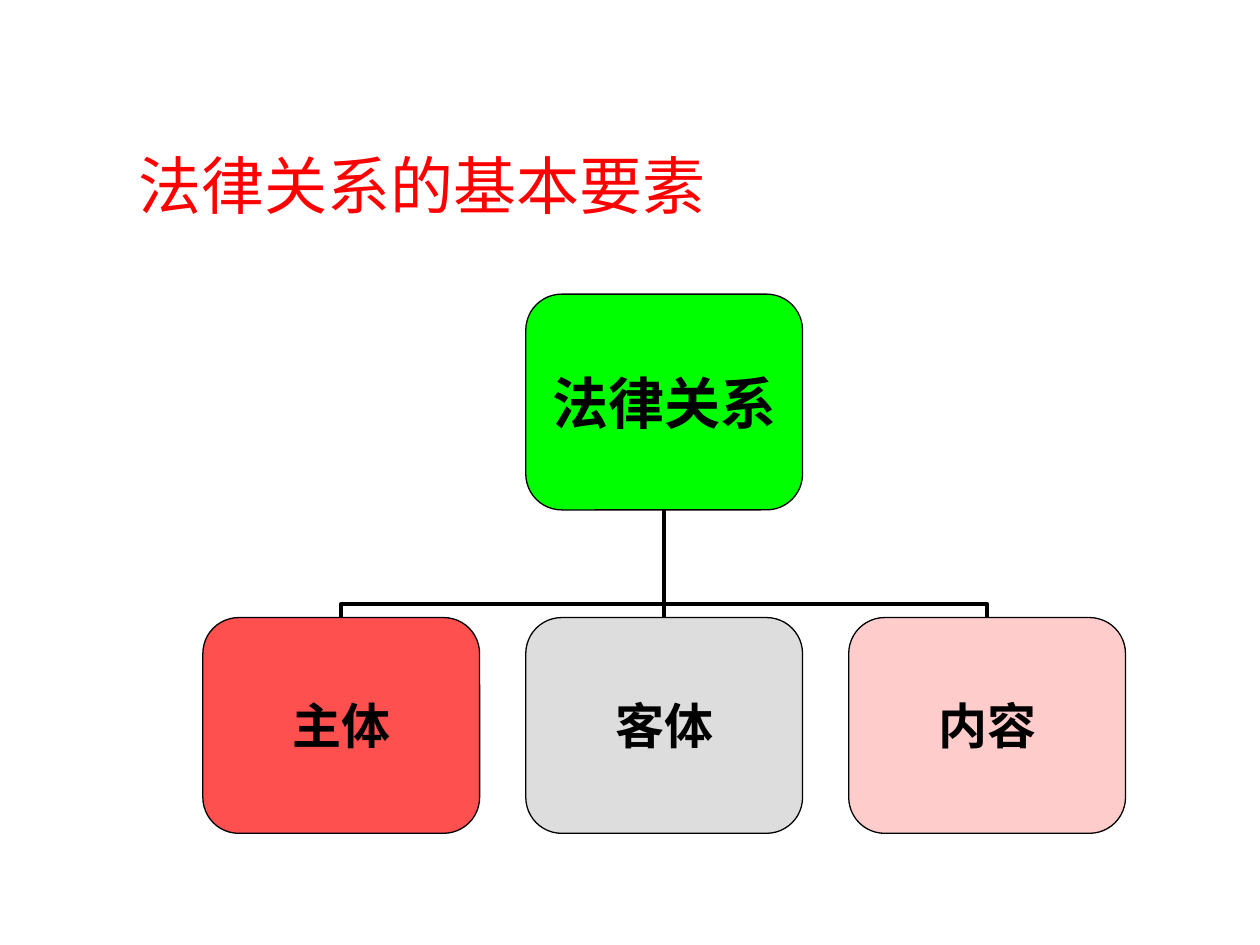
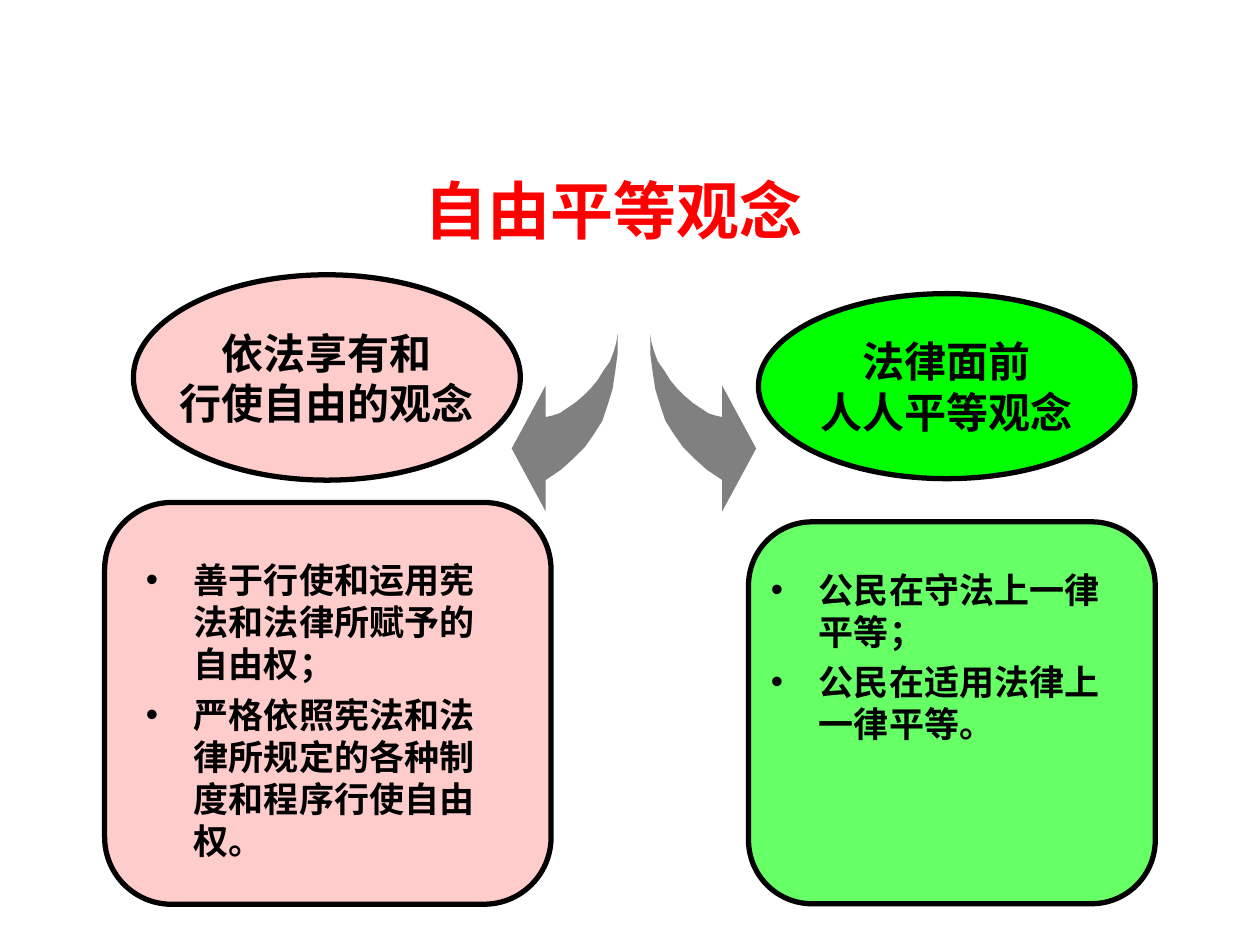
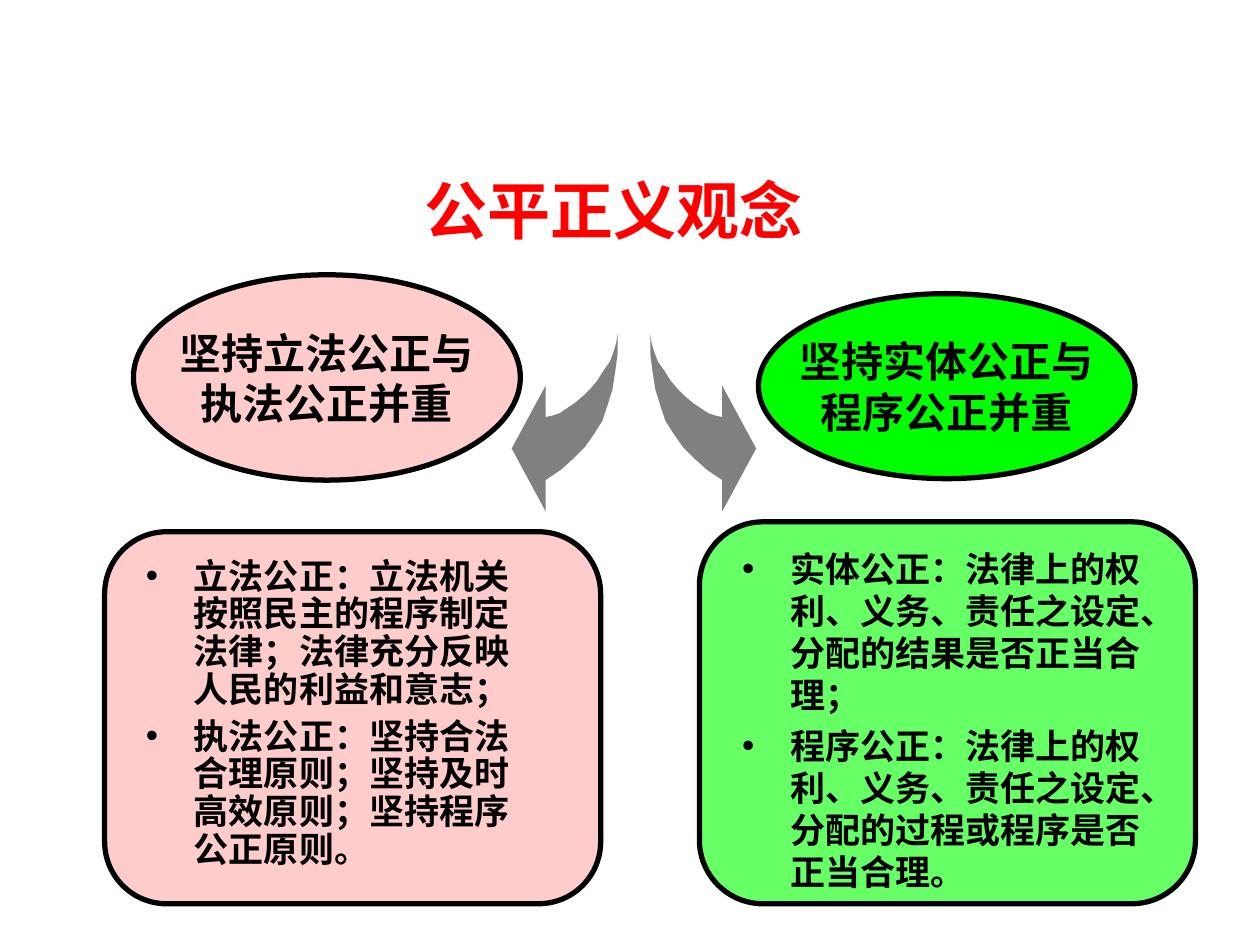
from pptx import Presentation
from pptx.dml.color import RGBColor
from pptx.enum.shapes import MSO_CONNECTOR, MSO_SHAPE
from pptx.enum.text import MSO_ANCHOR, MSO_AUTO_SIZE, PP_ALIGN
from pptx.oxml.ns import qn
from pptx.util import Cm, Pt
from lxml import etree

ROUNDED, ELLIPSE = MSO_SHAPE.ROUNDED_RECTANGLE, MSO_SHAPE.OVAL
STRAIGHT, ELBOW = MSO_CONNECTOR.STRAIGHT, MSO_CONNECTOR.ELBOW
TOP, MIDDLE = MSO_ANCHOR.TOP, MSO_ANCHOR.MIDDLE
LEFT, CENTER = PP_ALIGN.LEFT, PP_ALIGN.CENTER
NO_AUTOFIT = MSO_AUTO_SIZE.NONE
TITLE_ONLY = 5

# Shared style
BLACK, RED, GRAY = "000000", "FF0000", "808080"
GREEN, LIGHT_GREEN, PINK = "00FF00", "66FF66", "FFCCCC"
CORAL, SILVER = "FF5050", "DDDDDD"
SANS, SERIF, CHINESE = "Arial", "Times New Roman", "Noto Sans CJK SC"
LINE_PITCH = 1.2

# Curved arrow outline: (outward, down) from its tip, in units of ARROW_UNIT
ARROW_UNIT = Cm(0.0254)
ARROW = [(0, 0), (0, 16), (2, 31), (4, 44), (8, 57), (12, 69), (19, 80),
         (26, 90), (35, 99), (45, 108), (57, 116), (57, 141), (84, 91),
         (57, 41), (57, 66), (52, 65), (46, 63), (40, 59), (34, 55),
         (27, 49), (21, 43), (16, 37), (11, 29), (6, 22), (3, 14), (1, 7)]


def color(hex_string):
    return RGBColor.from_string(hex_string)


def lengths(place):
    return [Cm(value) for value in place]


class Pages:
    """Holds the deck and the page being drawn."""

    def __init__(self):
        self.deck = Presentation()
        self.deck.slide_width, self.deck.slide_height = Cm(25.4), Cm(19.05)
        self.page = None

    def new_page(self, title, place, font=SANS, bold=False, align=LEFT, anchor=TOP):
        self.page = self.deck.slides.add_slide(self.deck.slide_layouts[TITLE_ONLY])
        box = self.page.shapes.title
        box.left, box.top, box.width, box.height = lengths(place)
        self.set_text(box.text_frame, [title], 36, RED, font, bold, align, anchor)

    def set_text(self, frame, lines, size, ink=BLACK, font=SANS, bold=True,
                 align=CENTER, anchor=MIDDLE, pitch=LINE_PITCH, bullets=False):
        frame.auto_size = NO_AUTOFIT
        frame.vertical_anchor = anchor
        for index, line in enumerate(lines):
            para = frame.add_paragraph() if index else frame.paragraphs[0]
            para.text = line
            para.alignment = align
            para.line_spacing = Pt(size * pitch)
            para.space_before = Pt(5 if bullets and index else 0)
            if bullets:
                self.add_bullet(para)
            para.font.size, para.font.bold = Pt(size), bold
            para.font.name = font
            para.font.color.rgb = color(ink)

    def add_bullet(self, para):
        properties = para._p.get_or_add_pPr()
        properties.set("marL", str(Cm(0.97)))
        properties.set("indent", str(-Cm(0.97)))
        etree.SubElement(properties, qn("a:buFont")).set("typeface", SANS)
        etree.SubElement(properties, qn("a:buChar")).set("char", "•")

    def shape(self, kind, place, fill, line_width):
        shape = self.page.shapes.add_shape(kind, *lengths(place))
        shape.shadow.inherit = False
        shape.fill.solid()
        shape.fill.fore_color.rgb = color(fill)
        shape.line.color.rgb = color(BLACK)
        shape.line.width = Pt(line_width)
        return shape

    def node(self, text, place, fill, size):
        frame = self.shape(ROUNDED, place, fill, 0.75).text_frame
        frame.margin_left = frame.margin_right = 0
        frame.margin_top = frame.margin_bottom = 0
        frame.word_wrap = False
        self.set_text(frame, [text], size, font=SERIF)

    def heading(self, lines, place, fill):
        frame = self.shape(ELLIPSE, place, fill, 3).text_frame
        frame.word_wrap = False
        self.set_text(frame, lines, 24)

    def bullet_list(self, lines, place, pitch):
        frame = self.page.shapes.add_textbox(*lengths(place)).text_frame
        frame.word_wrap = True
        self.set_text(frame, lines, 20, align=LEFT, anchor=TOP, pitch=pitch, bullets=True)

    def link(self, child, parent):
        """Joins a child's top to its parent's bottom, turning near the child."""
        (child_x, child_y), (parent_x, parent_y) = child, parent
        run, rise = abs(parent_x - child_x), child_y - parent_y
        if run == 0:
            kind, ends = STRAIGHT, (*child, *parent)
        else:
            # The elbow is laid out sideways around its centre, then turned
            side = 1 if child_x > parent_x else -1
            center_x, center_y = (child_x + parent_x) / 2, (child_y + parent_y) / 2
            kind = ELBOW
            ends = (center_x - side * rise / 2, center_y + run / 2,
                    center_x + side * rise / 2, center_y - run / 2)
        line = self.page.shapes.add_connector(kind, *lengths(ends))
        line.line.color.rgb = color(BLACK)
        line.line.width = Pt(2.25)
        properties = line._element.spPr
        etree.SubElement(properties, qn("a:effectLst"))
        if kind == ELBOW:
            turn = 270 if side > 0 else 90
            properties.find(qn("a:xfrm")).set("rot", str(turn * 60000))
            guides = properties.find(qn("a:prstGeom")).find(qn("a:avLst"))
            guide = etree.SubElement(guides, qn("a:gd"))
            guide.set("name", "adj1")
            guide.set("fmla", "val 12800")

    def curved_arrow(self, tip_x, tip_y, side):
        points = [(side * outward, down) for outward, down in ARROW]
        builder = self.page.shapes.build_freeform(*points[0], scale=ARROW_UNIT)
        builder.add_line_segments(points[1:], close=True)
        arrow = builder.convert_to_shape(Cm(tip_x), Cm(tip_y))
        arrow.shadow.inherit = False
        arrow.fill.solid()
        arrow.fill.fore_color.rgb = color(GRAY)
        arrow.line.fill.background()


def elements_page(pages):
    pages.new_page("法律关系的基本要素", (1.5, 2.72, 14, 2),
                   align=CENTER, anchor=MIDDLE)
    width, height, step = 5.58, 4.35, 6.51
    first_left, root_top, child_top = 4.09, 5.93, 12.45
    root_left = first_left + step
    children = [("主体", CORAL), ("客体", SILVER), ("内容", PINK)]
    lefts = [first_left + index * step for index in range(len(children))]
    for left in lefts:
        pages.link((left + width / 2, child_top),
                   (root_left + width / 2, root_top + height))
    pages.node("法律关系", (root_left, root_top, width, height), GREEN, 32)
    for left, (text, fill) in zip(lefts, children):
        pages.node(text, (left, child_top, width, height), fill, 28)


def concept_page(pages, title, headings, panels, lists, pitches):
    """Two headings, each over a panel with its bullet list."""
    pages.new_page(title, (8.31, 3.33, 9, 2.18), font=CHINESE, bold=True)
    for place, fill in zip(panels, (PINK, LIGHT_GREEN)):
        pages.shape(ROUNDED, place, fill, 3)
    pages.curved_arrow(12.45, 6.73, -1)
    pages.curved_arrow(13.11, 6.73, 1)
    pages.heading(headings[0], (2.69, 5.54, 7.8, 4.14), PINK)
    pages.heading(headings[1], (15.29, 5.92, 7.59, 3.73), GREEN)
    for (lines, place), pitch in zip(lists, pitches):
        pages.bullet_list(lines, place, pitch)


def main():
    pages = Pages()
    elements_page(pages)
    concept_page(
        pages, "自由平等观念",
        headings=[["依法享有和", "行使自由的观念"], ["法律面前", "人人平等观念"]],
        panels=[(2.11, 10.13, 9, 8.1), (15.09, 10.52, 8.2, 7.7)],
        lists=[(["善于行使和运用宪法和法律所赋予的自由权；",
                 "严格依照宪法和法律所规定的各种制度和程序行使自由权。"],
                (2.69, 11.13, 7.21, 6.6)),
               (["公民在守法上一律平等；", "公民在适用法律上一律平等。"],
                (15.29, 11.33, 7.21, 6.6))],
        pitches=(LINE_PITCH, LINE_PITCH))
    concept_page(
        pages, "公平正义观念",
        headings=[["坚持立法公正与", "执法公正并重"], ["坚持实体公正与", "程序公正并重"]],
        panels=[(2.11, 10.72, 10, 7.5), (14.1, 10.52, 10, 7.7)],
        lists=[(["立法公正：立法机关按照民主的程序制定法律；法律充分反映人民的利益和意志；",
                 "执法公正：坚持合法合理原则；坚持及时高效原则；坚持程序公正原则。"],
                (2.69, 11.13, 8.41, 6.6)),
               (["实体公正：法律上的权利、义务、责任之设定、分配的结果是否正当合理；",
                 "程序公正：法律上的权利、义务、责任之设定、分配的过程或程序是否正当合理。"],
                (14.71, 10.92, 8.79, 6.6))],
        pitches=(LINE_PITCH * 0.9, LINE_PITCH))
    pages.deck.save("out.pptx")


if __name__ == "__main__":
    main()
